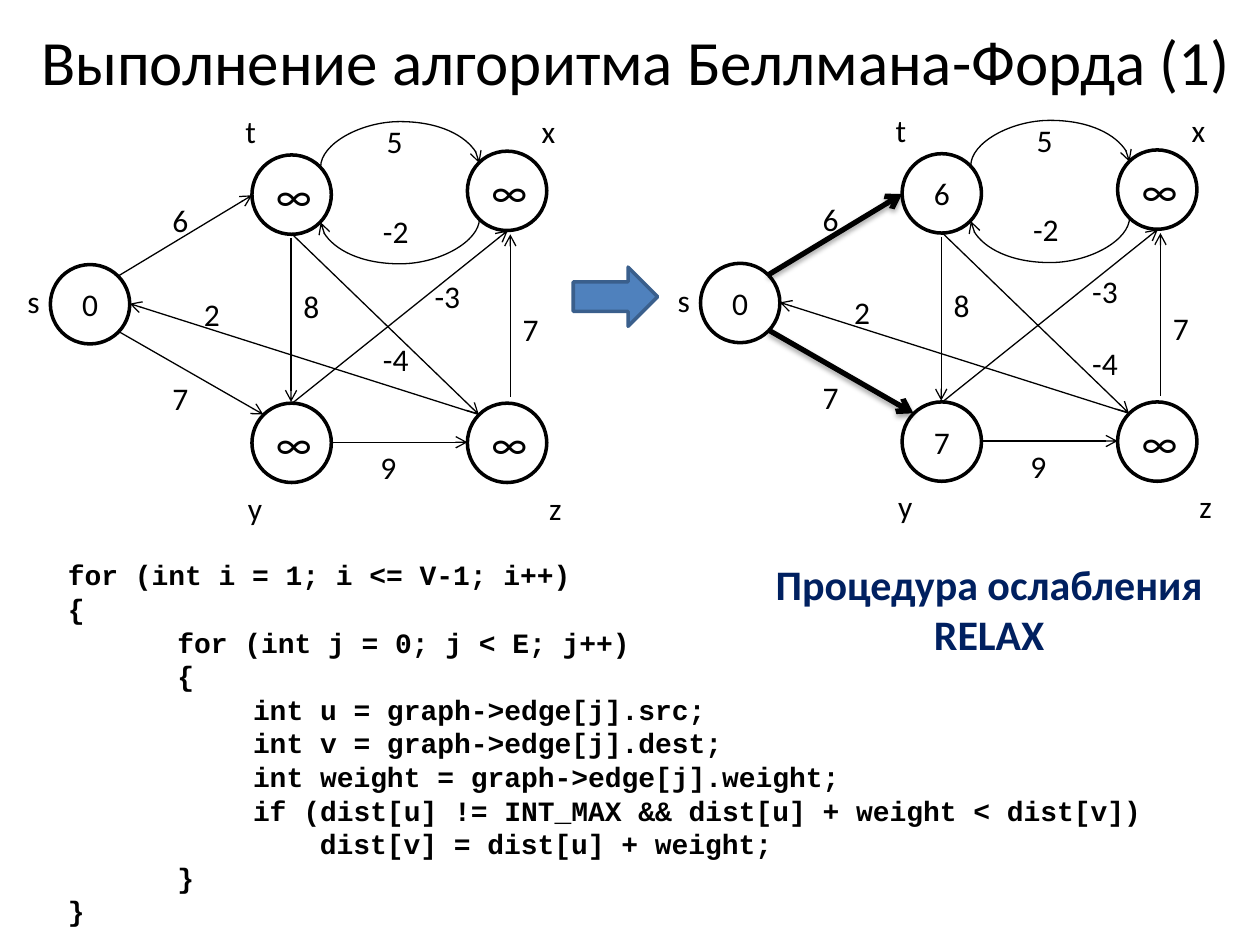
from lxml import etree
from pptx import Presentation
from pptx.dml.color import RGBColor
from pptx.enum.shapes import MSO_CONNECTOR, MSO_SHAPE
from pptx.enum.text import MSO_ANCHOR, MSO_AUTO_SIZE, PP_ALIGN
from pptx.oxml.ns import qn
from pptx.util import Inches, Pt

BLACK = RGBColor(0, 0, 0)
WHITE = RGBColor(255, 255, 255)
BLUE = RGBColor(0x4F, 0x81, 0xBD)
EDGE = RGBColor(0x3A, 0x5F, 0x8C)
NAVY = RGBColor(0x00, 0x20, 0x60)
LEFT, CENTER = PP_ALIGN.LEFT, PP_ALIGN.CENTER
TOP, MIDDLE = MSO_ANCHOR.TOP, MSO_ANCHOR.MIDDLE
FIT = MSO_AUTO_SIZE.SHAPE_TO_FIT_TEXT
NONE = MSO_AUTO_SIZE.NONE
LINE, CURVE = MSO_CONNECTOR.STRAIGHT, MSO_CONNECTOR.CURVE
OVAL, ARROW = MSO_SHAPE.OVAL, MSO_SHAPE.RIGHT_ARROW

SIZE = 0.63
SPOTS = [(0.4, 2.1), (2, 1.23), (2, 3.2), (3.71, 1.2), (3.71, 3.2)]
BOLD = [(0.94, 2.19, 2, 1.55), (0.94, 2.63, 2.09, 3.29)]
EDGES = [
    (2.63, 3.51, 3.71, 3.51), (2.32, 3.2, 4.03, 1.83),
    (3.8, 3.29, 1.03, 2.41), (2.31, 1.89, 2.31, 3.19),
    (4.05, 3.15, 4.05, 1.86), (2.32, 1.86, 3.8, 3.29),
]
ARCS = [(3.16, 0.68, True), (3.16, 1.12, False)]
MARKS = [
    ("6", 1.27, 1.55), ("7", 1.27, 2.96), ("5", 2.97, 0.92),
    ("9", 2.92, 3.51), ("2", 1.52, 2.29), ("7", 4.05, 2.41),
    ("8", 2.31, 2.23), ("-2", 2.94, 1.63), ("t", 1.85, 0.84),
    ("x", 4.2, 0.84), ("y", 1.87, 3.83), ("z", 4.26, 3.83),
    ("s", 0.12, 2.19),
]
GRAPHS = [
    (0, 0, "0∞∞∞∞", 0.75, [("-4", 2.94, 2.65), ("-3", 3.35, 2.15)]),
    (5.16, -0.01, "067∞∞", 3, [("-4", 3.41, 2.69), ("-3", 3.41, 2.12)]),
]
STEPS = [0.13, 1, 1.6, 2.13]
CODE = [
    (0, "for (int i = 1; i <= V-1; i++)"),
    (0, "{"),
    (1, "for (int j = 0; j < E; j++)"),
    (1, "{"),
    (2, "int u = graph->edge[j].src;"),
    (2, "int v = graph->edge[j].dest;"),
    (2, "int weight = graph->edge[j].weight;"),
    (2, "if (dist[u] != INT_MAX && dist[u] + weight < dist[v])"),
    (3, "dist[v] = dist[u] + weight;"),
    (1, "}"),
    (0, "}"),
]


class Deck:
    def __init__(self):
        self.file = Presentation()
        self.file.slide_width, self.file.slide_height = Inches(10), Inches(7.5)
        self.slide = self.file.slides.add_slide(self.file.slide_layouts[5])
        self.group()

    def group(self, inner=False):
        shapes = self.slide.shapes
        self.shapes = shapes.add_group_shape().shapes if inner else shapes

    def label(self, shape, lines, size=18, color=BLACK, align=LEFT,
              face="Calibri", bold=False, **frame):
        body = shape.text_frame
        for name, value in frame.items():
            setattr(body, name, value)
        body.text = "\n".join(lines)
        look = {"name": face, "size": Pt(size), "bold": bold}
        for para in body.paragraphs:
            para.alignment = align
            font = para.runs[0].font
            for name, value in look.items():
                setattr(font, name, value)
            font.color.rgb = color
        return body

    def title(self, text, *box):
        shape = self.slide.shapes.title
        names = ("left", "top", "width", "height")
        for name, value in zip(names, box):
            setattr(shape, name, Inches(value))
        self.label(shape, [text], 36, align=CENTER, vertical_anchor=TOP,
                   auto_size=NONE, word_wrap=True)

    def text(self, lines, *box, wrap=False, **style):
        shape = self.shapes.add_textbox(*map(Inches, box))
        return self.label(shape, lines, word_wrap=wrap, auto_size=FIT, **style)

    def shape(self, kind, box, fill, line):
        shape = self.shapes.add_shape(kind, *map(Inches, box))
        shape.shadow.inherit = False
        shape.fill.solid()
        shape.fill.fore_color.rgb = fill
        shape.line.color.rgb = line
        shape.line.width = Pt(2)
        return shape

    def node(self, text, x, y):
        shape = self.shape(OVAL, (x, y, SIZE, SIZE), WHITE, BLACK)
        self.label(shape, [text], 24 if text == "∞" else 18, align=CENTER,
                   vertical_anchor=MIDDLE)

    def edge(self, ends, width=0.75, kind=LINE):
        edge = self.shapes.add_connector(kind, *map(Inches, ends))
        edge.line.color.rgb = BLACK
        edge.line.width = Pt(width)
        props = edge._element.spPr
        tail = etree.SubElement(props.find(qn("a:ln")), qn("a:tailEnd"))
        tail.set("type", "arrow")
        glow = etree.SubElement(props, qn("a:effectLst"))
        if width > 1:
            cast = etree.SubElement(
                glow, qn("a:outerShdw"), blurRad=str(Pt(3.1)),
                dist=str(Pt(1.8)), dir="5400000", rotWithShape="0")
            tint = etree.SubElement(cast, qn("a:srgbClr"), val="000000")
            etree.SubElement(tint, qn("a:alpha"), val="35000")
        return props

    def arc(self, x, y, flip):
        props = self.edge((x, y, x + 0.03, y + 1.26), kind=CURVE)
        turn = {"rot": "5400000"}
        if flip:
            turn.update(flipH="1", flipV="1")
        for name, value in turn.items():
            props.find(qn("a:xfrm")).set(name, value)
        bend = props.find(qn("a:prstGeom")).find(qn("a:avLst"))
        etree.SubElement(bend, qn("a:gd"), name="adj1", fmla="val 1200000")

    def graph(self, dx, dy, nodes, width, extra):
        self.group(True)
        for text, (x, y) in zip(nodes, SPOTS):
            self.node(text, x + dx, y + dy)
        for weight, edges in ((width, BOLD), (0.75, EDGES)):
            for x, y, x2, y2 in edges:
                self.edge((x + dx, y + dy, x2 + dx, y2 + dy), weight)
        for x, y, flip in ARCS:
            self.arc(x + dx, y + dy, flip)
        for text, x, y in MARKS + extra:
            self.text([text], x + dx, y + dy, 0.25 + 0.08 * len(text), 0.4)
        self.group()

    def code(self, rows, *box):
        body = self.text([text for _, text in rows], *box, wrap=True, size=16,
                         face="Courier New", bold=True)
        for para, (level, _) in zip(body.paragraphs, rows):
            para._p.get_or_add_pPr().set("marL", str(Inches(STEPS[level])))


def main():
    deck = Deck()
    deck.code(CODE, 0.31, 4.38, 9.29, 3.06)
    deck.title("Выполнение алгоритма Беллмана-Форда (1)", 0.2, 0.13, 9.69, 0.63)
    for graph in GRAPHS:
        deck.graph(*graph)
    deck.shape(ARROW, (4.55, 2.12, 0.67, 0.47), BLUE, EDGE)
    deck.text(["Процедура ослабления", "RELAX"], 6.04, 4.38, 3.62, 0.91,
              size=24, color=NAVY, align=CENTER, bold=True)
    deck.file.save("out.pptx")


if __name__ == "__main__":
    main()
